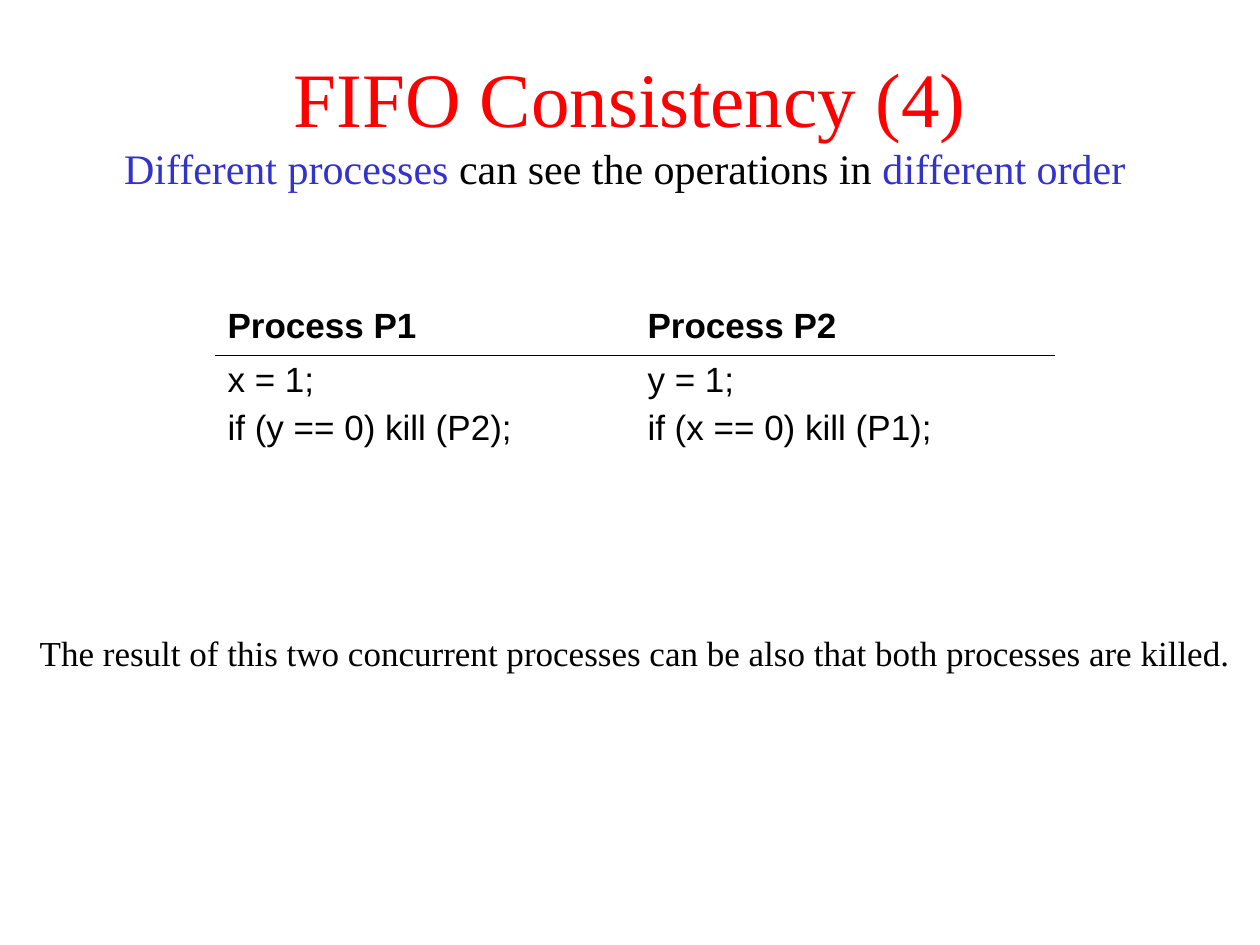
from lxml.etree import SubElement
from pptx import Presentation
from pptx.dml.color import RGBColor
from pptx.enum.text import MSO_ANCHOR, PP_ALIGN
from pptx.oxml import parse_xml
from pptx.oxml.ns import nsdecls, qn
from pptx.util import Emu, Pt

PX = 914400 // 126  # one px in EMU
RED = RGBColor(0xFF, 0x00, 0x00)
BLUE = RGBColor(0x33, 0x33, 0xCC)
BLACK = RGBColor(0x00, 0x00, 0x00)
SERIF, SANS = "Times New Roman", "Arial"

# Content: runs are (text, size, colour)
HEADING = ("FIFO Consistency (4)", 44, RED)
SUBHEADING = [
    ("Different processes", 24, BLUE),
    (" can see the operations in ", 24, BLACK),
    ("different order ", 24, BLUE),
]
CONCLUSION = [
    (" ", 24, BLACK),
    ("The result of this two concurrent processes can be also "
     "that both processes are killed.", 20, BLACK),
]
PROCESSES = [
    ("Process P1", ["x = 1;", "if (y == 0) kill (P2);"]),
    ("Process P2", ["y = 1;", "if (x == 0) kill (P1);"]),
]

# Layout in px: left, top, width, height
TITLE_BOX = (0, 0, 1260, 244)
TABLE_BOX = (215, 300, 840, 236)
CONCLUSION_BOX = (0, 624, 1260, 116)
ROW_HEIGHTS = (55, 181)
NO_STYLE = "{2D5ABB26-0587-4C30-8999-92F81FD0307C}"


def emu(box):
    return [Emu(v * PX) for v in box]


def add_run(paragraph, text, size, color, font=SERIF, bold=False):
    run = paragraph.add_run()
    run.text = text
    for name, value in {"name": font, "size": Pt(size), "bold": bold}.items():
        setattr(run.font, name, value)
    run.font.color.rgb = color


def add_border(cell, side):
    properties = cell._tc.get_or_add_tcPr()
    properties.insert(0, parse_xml(
        f'<a:{side} {nsdecls("a")} w="{Pt(0.45)}"><a:solidFill>'
        f'<a:srgbClr val="{BLACK}"/></a:solidFill></a:{side}>'))


def fill_cell(cell, lines, bold, border_side):
    cell.fill.background()
    add_border(cell, border_side)
    frame = cell.text_frame
    for i, line in enumerate(lines):
        paragraph = frame.add_paragraph() if i else frame.paragraphs[0]
        paragraph.space_before = Pt(5)
        add_run(paragraph, line, 20, BLACK, SANS, bold)


def main():
    prs = Presentation()
    prs.slide_width, prs.slide_height = emu((1260, 945))
    slide = prs.slides.add_slide(prs.slide_layouts[5])

    # Title with its subheading on the next line
    title = slide.shapes.title
    for name, value in zip(("left", "top", "width", "height"), emu(TITLE_BOX)):
        setattr(title, name, value)
    title.text_frame.vertical_anchor = MSO_ANCHOR.MIDDLE
    heading = title.text_frame.paragraphs[0]
    heading.alignment = PP_ALIGN.CENTER
    add_run(heading, *HEADING)
    heading.add_line_break()
    line_break = heading._p.find(qn("a:br"))
    SubElement(line_break, qn("a:rPr")).set("sz", "4400")
    for run in SUBHEADING:
        add_run(heading, *run)

    # Conclusion
    conclusion = slide.shapes.add_textbox(*emu(CONCLUSION_BOX)).text_frame
    conclusion.word_wrap = True
    sentence = conclusion.paragraphs[0]
    for name, value in {"alignment": PP_ALIGN.CENTER, "line_spacing": 0.9,
                        "space_before": Pt(5)}.items():
        setattr(sentence, name, value)
    for run in CONCLUSION:
        add_run(sentence, *run)

    # Table of the two processes, ruled below the header
    table = slide.shapes.add_table(2, len(PROCESSES), *emu(TABLE_BOX)).table
    table.first_row = table.horz_banding = False
    table._tbl.tblPr.find(qn("a:tableStyleId")).text = NO_STYLE
    for row, height in zip(table.rows, ROW_HEIGHTS):
        row.height = Emu(height * PX)
    for column, (process, code) in enumerate(PROCESSES):
        fill_cell(table.cell(0, column), [process], True, "lnB")
        fill_cell(table.cell(1, column), code, False, "lnT")

    prs.save("out.pptx")


if __name__ == "__main__":
    main()
